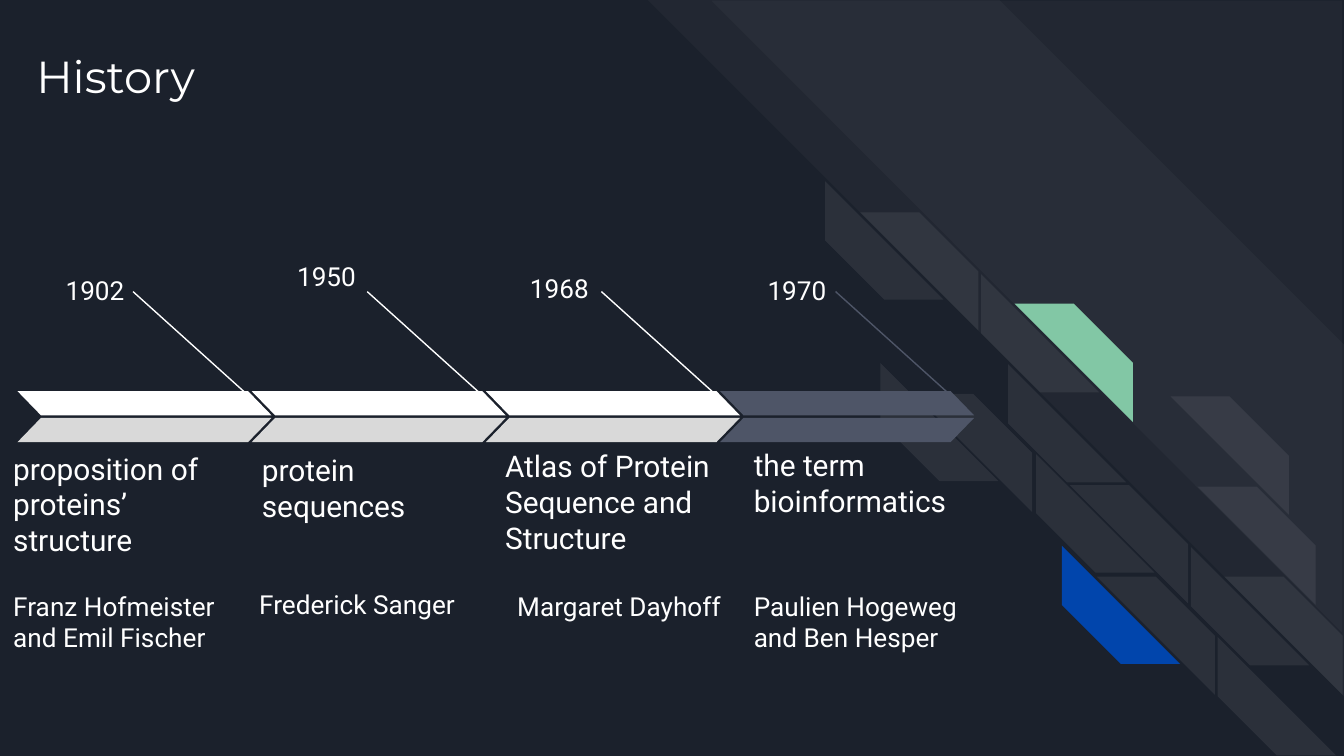
from lxml.etree import SubElement
from pptx import Presentation
from pptx.dml.color import RGBColor
from pptx.enum.shapes import MSO_CONNECTOR, MSO_SHAPE
from pptx.enum.text import MSO_ANCHOR, PP_ALIGN
from pptx.oxml.ns import qn
from pptx.util import Inches, Pt

WHITE, GREY, SLATE = "FFFFFF", "D9D9D9", "4E5567"
GREEN, BLUE, NIGHT = "82C7A5", "0145AC", "1B212C"
BRICK = 0.88

# Bricks of the backdrop: left, top, lower half or not, colour, opacity in percent
BRICKS = [
    (6.14, 1.35, True, WHITE, 7), (6.4, 1.58, False, WHITE, 7),
    (6.55, 2.7, True, WHITE, 7), (6.8, 2.93, False, WHITE, 7),
    (7.3, 2.04, True, WHITE, 7), (7.55, 2.26, False, GREEN, 100),
    (7.5, 2.71, True, WHITE, 7), (8.71, 2.95, False, WHITE, 7),
    (8.91, 3.62, False, WHITE, 7), (7.71, 3.38, True, WHITE, 7),
    (7.96, 3.61, False, WHITE, 7), (7.9, 4.06, True, BLUE, 100),
    (8.16, 4.29, False, WHITE, 7), (8.86, 4.07, True, WHITE, 7),
    (9.11, 4.29, False, WHITE, 7), (9.06, 4.74, True, WHITE, 7),
]

# Each text is (wording, left, top, width or alignment), relative to the timeline
MILESTONES = [
    {"year": ("1902", 0.26, 0.1, PP_ALIGN.LEFT),
     "event": ("proposition of proteins’ structure", -0.13, 1.63, 1.86),
     "people": ("Franz Hofmeister and Emil Fischer", -0.13, 2.45, 1.81),
     "colours": (WHITE, GREY)},
    {"year": ("1950", 1.87, 0, PP_ALIGN.CENTER),
     "event": ("protein sequences", 1.72, 1.51, 1.81),
     "people": ("Frederick Sanger", 1.7, 2.44, 1.81),
     "colours": (WHITE, GREY)},
    {"year": ("1968", 3.49, 0.09, PP_ALIGN.RIGHT),
     "event": ("Atlas of Protein Sequence and Structure", 3.53, 1.61, 1.81),
     "people": ("Margaret Dayhoff", 3.62, 2.45, 1.81),
     "colours": (WHITE, GREY)},
    {"year": ("1970", 5.37, 0.1, PP_ALIGN.CENTER),
     "event": ("the term bioinformatics", 5.38, 1.47, 1.81),
     "people": ("Paulien Hogeweg and Ben Hesper", 5.38, 2.45, 1.81),
     "colours": (SLATE, SLATE)},
]


def colour(value):
    return RGBColor.from_string(value)


def inches(*lengths):
    return [Inches(length) for length in lengths]


def add_filled(page, preset, box, fill, adjust, flip=False, turn=0, opacity=100):
    shape = page.shapes.add_shape(preset, *inches(*box))
    shape.adjustments[0] = adjust
    shape.rotation = turn
    shape.shadow.inherit = False
    shape.fill.solid()
    shape.fill.fore_color.rgb = colour(fill)
    shape.line.fill.background()
    if flip:
        shape._element.spPr.find(qn("a:xfrm")).set("flipH", "1")
    if opacity < 100:
        tint = shape._element.spPr.find(qn("a:solidFill")).find(qn("a:srgbClr"))
        SubElement(tint, qn("a:alpha")).set("val", str(opacity * 1000))


def write(shape, wording, size, font="Roboto", anchor=MSO_ANCHOR.TOP,
          align=PP_ALIGN.LEFT, after=0):
    frame = shape.text_frame
    frame.word_wrap = True
    frame.vertical_anchor = anchor
    frame.margin_left = frame.margin_right = Inches(0.1)
    frame.margin_top = frame.margin_bottom = Inches(0.1)
    para = frame.paragraphs[0]
    para.alignment = align
    para.space_before, para.space_after = Pt(0), Pt(after)
    span = para.add_run()
    span.text = wording
    span.font.size = Pt(size)
    span.font.name = font
    span.font.color.rgb = colour(WHITE)


def add_text(page, box, wording, size, **style):
    write(page.shapes.add_textbox(*inches(*box)), wording, size, **style)


def add_backdrop(page):
    # Two wide bands across the top right corner
    stripe = MSO_SHAPE.DIAGONAL_STRIPE
    add_filled(page, stripe, (4.82, 0, 5.18, 5.18), WHITE, 0.495, turn=90, opacity=3)
    add_filled(page, stripe, (5.29, 0.01, 4.7, 4.69), WHITE, 0, turn=90, opacity=3)
    # Brick pattern along the diagonal
    for left, top, lower, fill, opacity in BRICKS:
        add_filled(page, stripe, (left, top, BRICK, BRICK), fill, 0.5,
                   flip=not lower, turn=270 if lower else 0, opacity=opacity)


def add_title(page, box):
    title = page.shapes.title
    title.left, title.top, title.width, title.height = inches(*box)
    write(title, "History", 24, font="Montserrat")
    page.shapes._spTree.append(title._element)  # in front of the backdrop


def add_arrow(page, left, top, upper, lower):
    # Leader line down to the arrow tip
    leader = page.shapes.add_connector(
        MSO_CONNECTOR.STRAIGHT,
        *inches(left + 0.86, top + 0.33, left + 1.87, top + 1.24))
    leader.line.color.rgb = colour(upper)
    leader.line.width = Pt(0.75)
    SubElement(leader._element.spPr, qn("a:effectLst"))
    # Two halves of the arrow
    half = MSO_SHAPE.PARALLELOGRAM
    add_filled(page, half, (left, top + 1.07, 1.89, 0.18), upper, 0.97, flip=True)
    add_filled(page, half, (left, top + 1.27, 1.89, 0.18), lower, 0.97)


def add_timeline(page, left, top, width):
    step = width / len(MILESTONES)
    for index, milestone in enumerate(MILESTONES):
        add_arrow(page, left + index * step, top, *milestone["colours"])
        # Year above, event and people below
        wording, x, y, align = milestone["year"]
        add_text(page, (left + x, top + y, 0.86, 0.3), wording, 14,
                 align=align, after=16)
        wording, x, y, wide = milestone["event"]
        add_text(page, (left + x, top + y, wide, 0.56), wording, 16,
                 anchor=MSO_ANCHOR.MIDDLE)
        wording, x, y, wide = milestone["people"]
        add_text(page, (left + x, top + y, wide, 0.92), wording, 14)


def main():
    deck = Presentation()
    deck.slide_width = Inches(10)
    deck.slide_height = deck.slide_width * 9 // 16
    page = deck.slides.add_slide(deck.slide_layouts[5])
    page.background.fill.solid()
    page.background.fill.fore_color.rgb = colour(NIGHT)
    add_backdrop(page)
    add_title(page, (0.17, 0.26, 7.7, 1))
    add_timeline(page, 0.13, 1.84, 6.97)
    deck.save("out.pptx")


if __name__ == "__main__":
    main()
